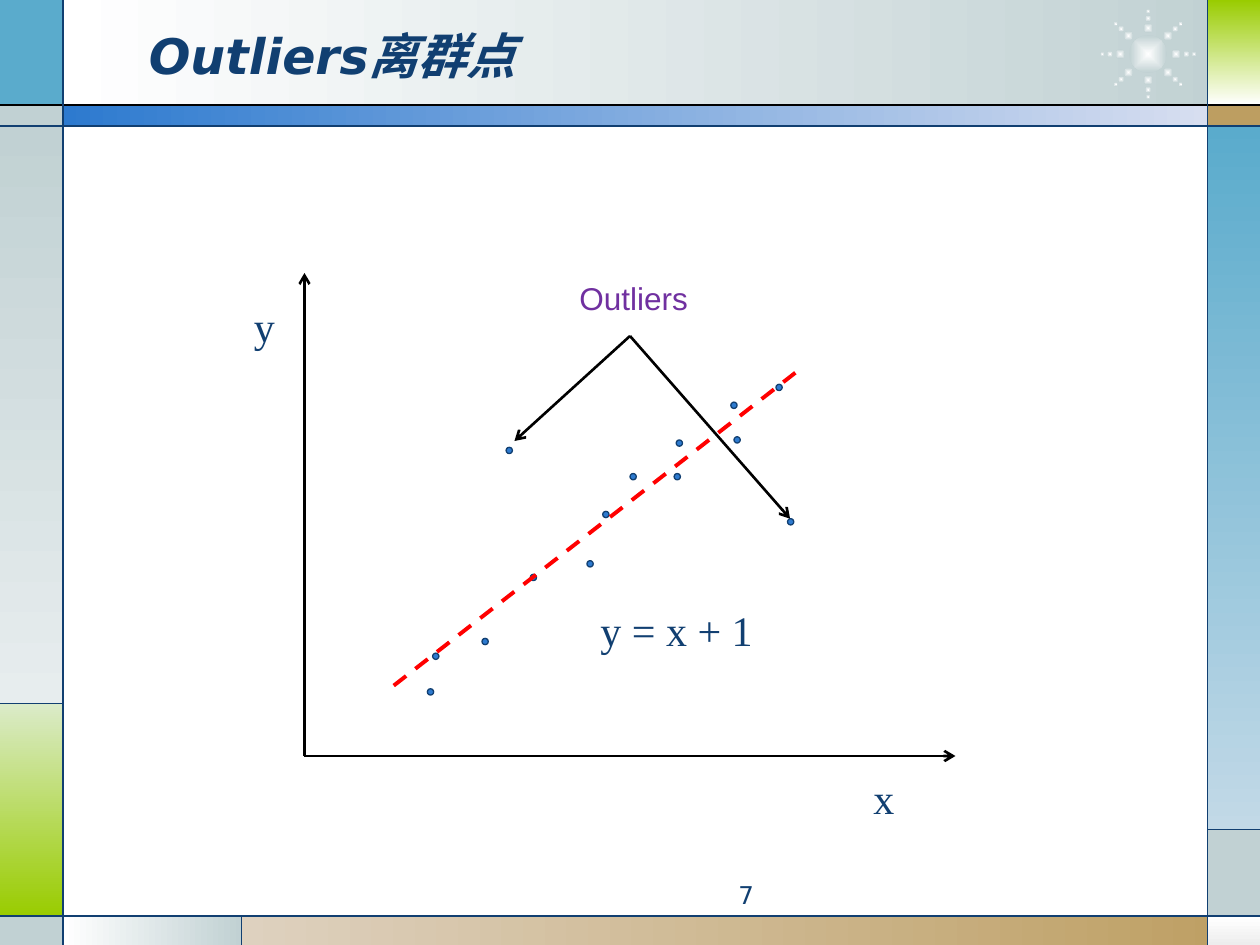
from math import cos, radians, sin

from lxml import etree
from pptx import Presentation
from pptx.dml.color import RGBColor
from pptx.enum.dml import MSO_LINE
from pptx.enum.shapes import MSO_CONNECTOR, MSO_SHAPE
from pptx.enum.text import MSO_ANCHOR, MSO_AUTO_SIZE, PP_ALIGN
from pptx.oxml.ns import qn
from pptx.util import Inches, Pt

RECT, OVAL = MSO_SHAPE.RECTANGLE, MSO_SHAPE.OVAL
STRAIGHT, DASH = MSO_CONNECTOR.STRAIGHT, MSO_LINE.DASH
TOP, MIDDLE = MSO_ANCHOR.TOP, MSO_ANCHOR.MIDDLE
LEFT, RIGHT = PP_ALIGN.LEFT, PP_ALIGN.RIGHT
FIT, FIXED = MSO_AUTO_SIZE.SHAPE_TO_FIT_TEXT, MSO_AUTO_SIZE.NONE
NAVY, BLUE, GREY, WHITE, BLACK = "113F71", "2D7ACF", "C1D1D3", "FFFFFF", "000000"
SKY, TAN, LIME = "5AABCC", "BD9E61", "99CC00"
rgb = RGBColor.from_string

# Grid of 120 columns by 90 rows
deck = Presentation()
deck.slide_width, deck.slide_height = Inches(10), Inches(7.5)
cell = deck.slide_width / 120
slide = deck.slides.add_slide(deck.slide_layouts[6])


def block(kind, x, y, w, h, tones, turn=0):
    """Fill with one tone, or blend two: turn in degrees, None from the centre."""
    shape = slide.shapes.add_shape(kind, *(round(n * cell) for n in (x, y, w, h)))
    shape.shadow.inherit = False
    shape.line.fill.background()
    if len(tones) == 1:
        shape.fill.solid()
        shape.fill.fore_color.rgb = rgb(tones[0])
        return shape
    shape.fill.gradient()
    for stop, tone, place in zip(shape.fill.gradient_stops, tones, (0, 1)):
        stop.color.rgb, stop.position = rgb(tone), place
    if turn is not None:
        shape.fill.gradient_angle = -turn % 360
        return shape
    grad = shape._element.spPr.find(qn("a:gradFill"))
    grad.remove(grad.find(qn("a:lin")))
    glow = etree.SubElement(grad, qn("a:path"), {"path": "shape"})
    etree.SubElement(glow, qn("a:fillToRect"), dict.fromkeys("ltrb", "50000"))
    return shape


def line(x1, y1, x2, y2, tone, width):
    rule = slide.shapes.add_connector(STRAIGHT, *(round(n * cell) for n in (x1, y1, x2, y2)))
    rule.line.color.rgb, rule.line.width = rgb(tone), Pt(width)
    etree.SubElement(rule._element.spPr, qn("a:effectLst"))
    return rule


# Frame panels: x, y, w, h, tones, turn
for panel in (
    (6, 0, 111.25, 10, (WHITE, GREY), 0),
    (0, 0, 6, 10, (SKY,), 0),
    (0, 10, 6, 2, (GREY,), 0),
    (0, 12, 6, 55, (GREY, "E7EDEE"), 90),
    (0, 67, 6, 20.25, ("DBEBC9", LIME), 90),
    (0, 87.25, 6, 2.75, (GREY,), 0),
    (6, 87.25, 17, 2.75, (WHITE, GREY), 0),
    (23, 87.25, 97, 2.75, ("DED1BF", TAN), 0),
    (115, 87.25, 5, 2.75, (WHITE, "EDEDED"), 90),
    (115, 79, 5, 8.25, (GREY,), 0),
    (115, 12, 5, 67, (SKY, "C2D9E7"), 90),
    (115, 10, 5, 2, (TAN,), 0),
    (115, 0, 5, 10, (LIME, WHITE), 90),
    (6, 10, 109, 2, (BLUE, "D7DEF0"), 0),
):
    block(RECT, *panel)

# Sunburst: a core and eight rays of three beads
sun_x, sun_y, core = 109.35, 5.15, 3.6
block(OVAL, sun_x - core / 2, sun_y - core / 2, core, core, (WHITE, GREY), None)
for ray in range(0, 360, 45):
    for reach, size in ((3.5, 0.6), (4.2, 0.42), (2.55, 0.9)):
        x = sun_x + 1.04 * reach * cos(radians(ray))
        y = sun_y + 0.97 * reach * sin(radians(ray))
        block(OVAL, x - size / 2, y - size / 2, size, size, (WHITE, GREY), None)

# Frame rules
for x1, y1, x2, y2, tone in (
    (0, 10, 120, 10, BLACK),
    (0, 12, 120, 12, NAVY),
    (0, 87.25, 120, 87.25, NAVY),
    (6, 0, 6, 90, NAVY),
    (115, 0, 115, 90, NAVY),
    (6, 67, 0, 67, NAVY),
    (23, 87.25, 23, 90, NAVY),
    (115, 79, 120, 79, NAVY),
):
    line(x1, y1, x2, y2, tone, 0.75)

# Data points, by centre
dot = 0.6
for x, y in (
    (56.2, 53.7), (50.8, 55), (48.5, 42.9), (46.2, 61.1), (57.7, 49),
    (60.3, 45.4), (41.5, 62.5), (64.5, 45.4), (64.7, 42.2), (70.2, 41.9),
    (41, 65.9), (69.9, 38.6), (74.2, 36.9), (75.3, 49.7),
):
    point = block(OVAL, x - dot / 2, y - dot / 2, dot, dot, (BLUE,))
    point.line.color.rgb, point.line.width = rgb(NAVY), Pt(0.75)

# Trend line, then outlier pointers and axes
line(37.5, 65.3, 75.75, 35.5, "FF0000", 2.25).line.dash_style = DASH
for ends in ((60, 32, 49, 42), (60, 32, 75.25, 49.4), (29, 72, 91, 72), (29, 72, 29, 26)):
    arrow = line(*ends, BLACK, 1.5)
    etree.SubElement(arrow.line._get_or_add_ln(), qn("a:tailEnd"), {"type": "arrow"})

# Text: words, x, y, w, h, font, size, tone, wrap, anchor, align
SANS, SERIF = "DejaVu Sans", "Times New Roman"
for words, x, y, w, h, font, size, tone, wrap, anchor, align in (
    ("Outliers离群点", 13, 1.5, 88, 7.5, SANS, 28, NAVY, True, MIDDLE, LEFT),
    ("7", 45, 83.2, 28, 3.25, SANS, 14, NAVY, True, TOP, RIGHT),
    ("x", 82, 73, 4.4, 6, SERIF, 24, NAVY, False, TOP, LEFT),
    ("y", 23, 28, 4.4, 6, SERIF, 24, NAVY, False, TOP, LEFT),
    ("y = x + 1", 56, 57, 16.9, 6, SERIF, 24, NAVY, False, TOP, LEFT),
    ("Outliers", 54, 26, 12.8, 4.8, "Arial", 18, "7030A0", False, TOP, LEFT),
):
    label = slide.shapes.add_textbox(*(round(n * cell) for n in (x, y, w, h)))
    frame = label.text_frame
    frame.word_wrap, frame.vertical_anchor = wrap, anchor
    frame.auto_size = FIXED if wrap else FIT
    para = frame.paragraphs[0]
    para.alignment = align
    run = para.add_run()
    run.text = words
    run.font.name, run.font.size, run.font.color.rgb = font, Pt(size), rgb(tone)
    if size == 28:
        run.font.bold = run.font.italic = True

deck.save("out.pptx")
